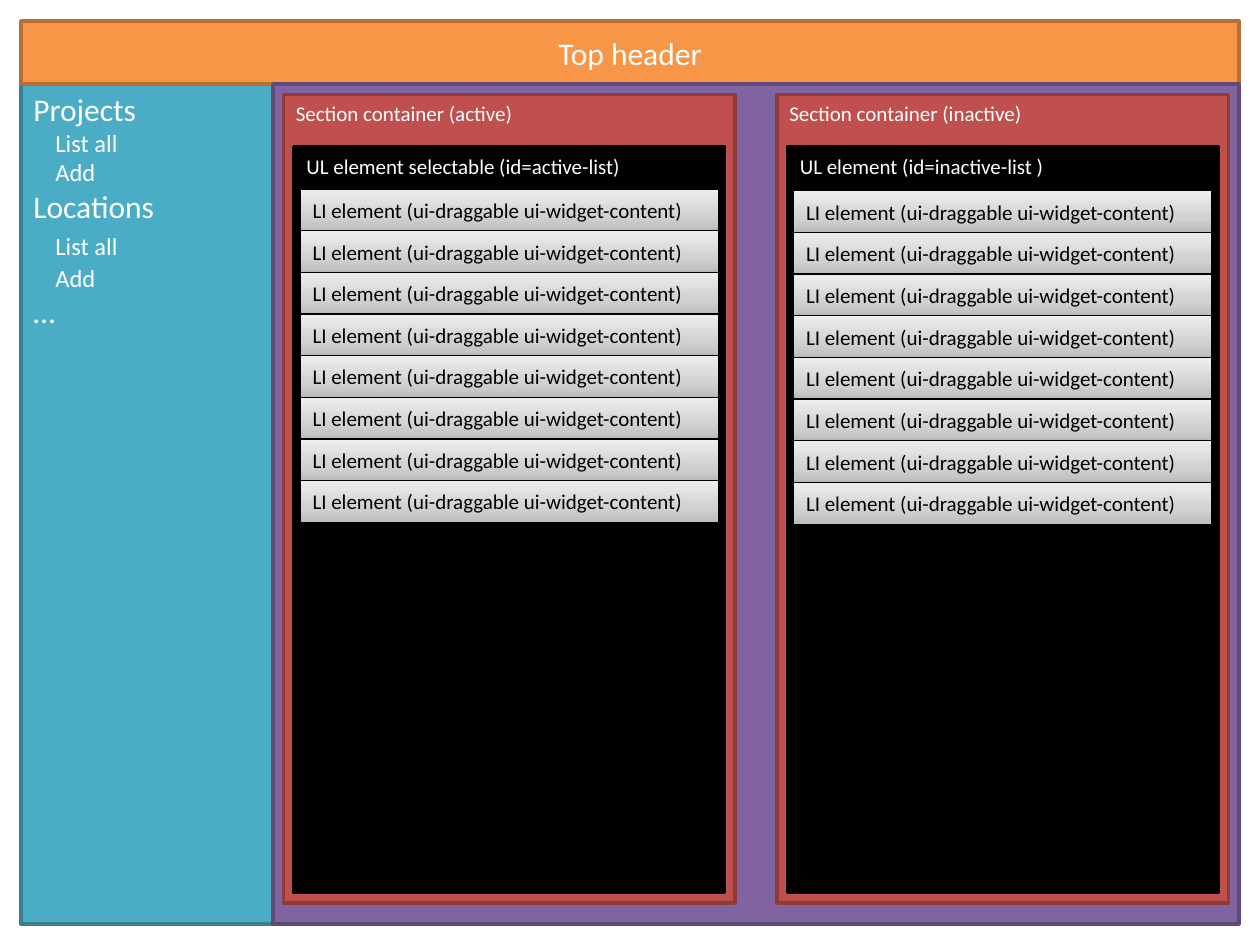
import pptx
import pptx.dml.color
import pptx.enum.shapes
import pptx.enum.text
import pptx.oxml
import pptx.oxml.ns
import pptx.util
from lxml import etree

Pt = pptx.util.Pt
COLORS = {
    "white": "FFFFFF", "black": "000000",
    "header": "F79646", "header_line": "B76F34",
    "sidebar": "4BACC6", "sidebar_line": "377F92",
    "content": "8064A2", "content_line": "5F4A78",
    "section": "C0504D", "section_line": "8E3B39",
}
ITEM_GRADIENT = [(0, "BDBDBD"), (35, "D1D1D1"), (100, "EEEEEE")]

HEADER = "Top header"
# text, size, left indent, space before, space after
MENU = [
    ("Projects", 18, 0, 0, 0),
    ("List all", 14, 12.6, 0, 0),
    ("Add", 14, 12.6, 0, 0),
    ("Locations", 18, 0, 0, 0),
    ("List all", 14, 12.6, 3.8, 1.1),
    ("Add", 14, 12.6, 0, 0),
    ("…", 18, 0, 0, 0),
]
SECTIONS = [
    ("Section container (active)", "UL element selectable (id=active-list)", 108),
    ("Section container (inactive)", "UL element (id=inactive-list )", 109),
]
ITEM = "LI element (ui-draggable ui-widget-content)"
ITEM_COUNT = 8

MARGIN, HEADER_HEIGHT, SIDEBAR_WIDTH = 12, 36, 144
SLIDE_WIDTH, SLIDE_HEIGHT = 720, 540
BODY_TOP = MARGIN + HEADER_HEIGHT
BODY_HEIGHT = SLIDE_HEIGHT - MARGIN - BODY_TOP
CONTENT_LEFT = MARGIN + SIDEBAR_WIDTH
CONTENT_WIDTH = SLIDE_WIDTH - MARGIN - CONTENT_LEFT
SECTION_PITCH, SECTION_WIDTH, SECTION_HEIGHT = 282, 258, 462
GAP = 6
LIST_TOP, LIST_HEIGHT = 84, 426
ITEM_INSET, ITEM_WIDTH, ITEM_HEIGHT, ITEM_PITCH = 3.5, 239, 24, 23.8


def rgb(name):
    """Return the named colour."""
    return pptx.dml.color.RGBColor.from_string(COLORS[name])


def write(paragraph, text, size, color="white", align="LEFT"):
    """Put text with its font into a paragraph."""
    paragraph.text = text
    paragraph.alignment = getattr(pptx.enum.text.PP_ALIGN, align)
    paragraph.font.name = "Calibri"
    paragraph.font.size = Pt(size)
    paragraph.font.color.rgb = rgb(color)


def add_box(shapes, left, top, width, height, fill, line, line_width=2, anchor="TOP"):
    """Add a flat rectangle."""
    shape = shapes.add_shape(pptx.enum.shapes.MSO_SHAPE.RECTANGLE,
                             Pt(left), Pt(top), Pt(width), Pt(height))
    shape.shadow.inherit = False
    shape.fill.solid()
    shape.fill.fore_color.rgb = rgb(fill)
    shape.line.color.rgb = rgb(line)
    shape.line.width = Pt(line_width)
    shape.text_frame.word_wrap = True
    shape.text_frame.vertical_anchor = getattr(pptx.enum.text.MSO_ANCHOR, anchor)
    return shape


def style_item(shape):
    """Give a list item its three-stop gradient and soft shadow."""
    qn = pptx.oxml.ns.qn
    shape.fill.gradient()
    shape.fill.gradient_angle = 90
    properties = shape.element.spPr
    stops = properties.find(".//" + qn("a:gsLst"))
    for stop in list(stops):
        stops.remove(stop)
    for position, color in ITEM_GRADIENT:
        stop = etree.SubElement(stops, qn("a:gs"), pos=str(position * 1000))
        etree.SubElement(stop, qn("a:srgbClr"), val=color)
    shadow = etree.SubElement(properties.find(qn("a:effectLst")), qn("a:outerShdw"),
                              blurRad=str(Pt(3.1)), dist=str(Pt(1.6)),
                              dir="5400000", rotWithShape="0")
    color = etree.SubElement(shadow, qn("a:srgbClr"), val=COLORS["black"])
    etree.SubElement(color, qn("a:alpha"), val="38000")


def add_section(shapes, left, title, list_title, items_top):
    """Add a section container with its list and items."""
    section = add_box(shapes, left, BODY_TOP + GAP, SECTION_WIDTH, SECTION_HEIGHT,
                      "section", "section_line")
    write(section.text_frame.paragraphs[0], title, 12)
    list_left = left + GAP
    list_box = add_box(shapes, list_left, LIST_TOP, SECTION_WIDTH - 2 * GAP, LIST_HEIGHT,
                       "black", "black")
    write(list_box.text_frame.paragraphs[0], list_title, 12)
    group = shapes.add_group_shape()
    for index in range(ITEM_COUNT):
        item = add_box(group.shapes, list_left + ITEM_INSET, items_top + index * ITEM_PITCH,
                       ITEM_WIDTH, ITEM_HEIGHT, "white", "black", 0.75, "MIDDLE")
        style_item(item)
        write(item.text_frame.paragraphs[0], ITEM, 12, "black")


def add_sidebar(shapes):
    """Add the menu on the left."""
    sidebar = add_box(shapes, MARGIN, BODY_TOP, SIDEBAR_WIDTH, BODY_HEIGHT,
                      "sidebar", "sidebar_line")
    frame = sidebar.text_frame
    for index, (text, size, indent, before, after) in enumerate(MENU):
        paragraph = frame.add_paragraph() if index else frame.paragraphs[0]
        write(paragraph, text, size)
        paragraph.space_before, paragraph.space_after = Pt(before), Pt(after)
        paragraph._p.get_or_add_pPr().set("marL", str(Pt(indent)))


presentation = pptx.Presentation()
presentation.slide_width, presentation.slide_height = Pt(SLIDE_WIDTH), Pt(SLIDE_HEIGHT)
slide = presentation.slides.add_slide(presentation.slide_layouts[6])
add_sidebar(slide.shapes)
header = add_box(slide.shapes, MARGIN, MARGIN, SLIDE_WIDTH - 2 * MARGIN, HEADER_HEIGHT,
                 "header", "header_line", anchor="MIDDLE")
write(header.text_frame.paragraphs[0], HEADER, 18, align="CENTER")
add_box(slide.shapes, CONTENT_LEFT, BODY_TOP, CONTENT_WIDTH, BODY_HEIGHT,
        "content", "content_line")
for number, section_content in enumerate(SECTIONS):
    add_section(slide.shapes, CONTENT_LEFT + GAP + number * SECTION_PITCH, *section_content)
presentation.save("out.pptx")
